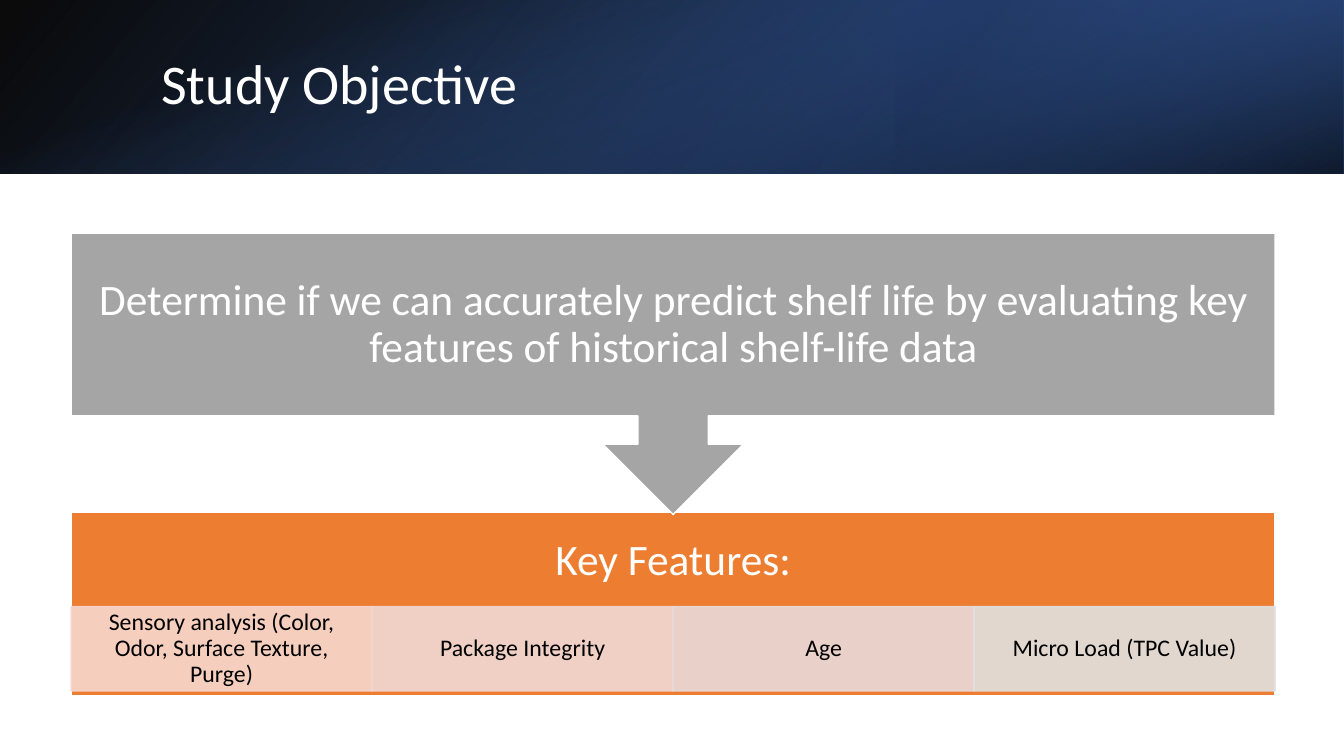
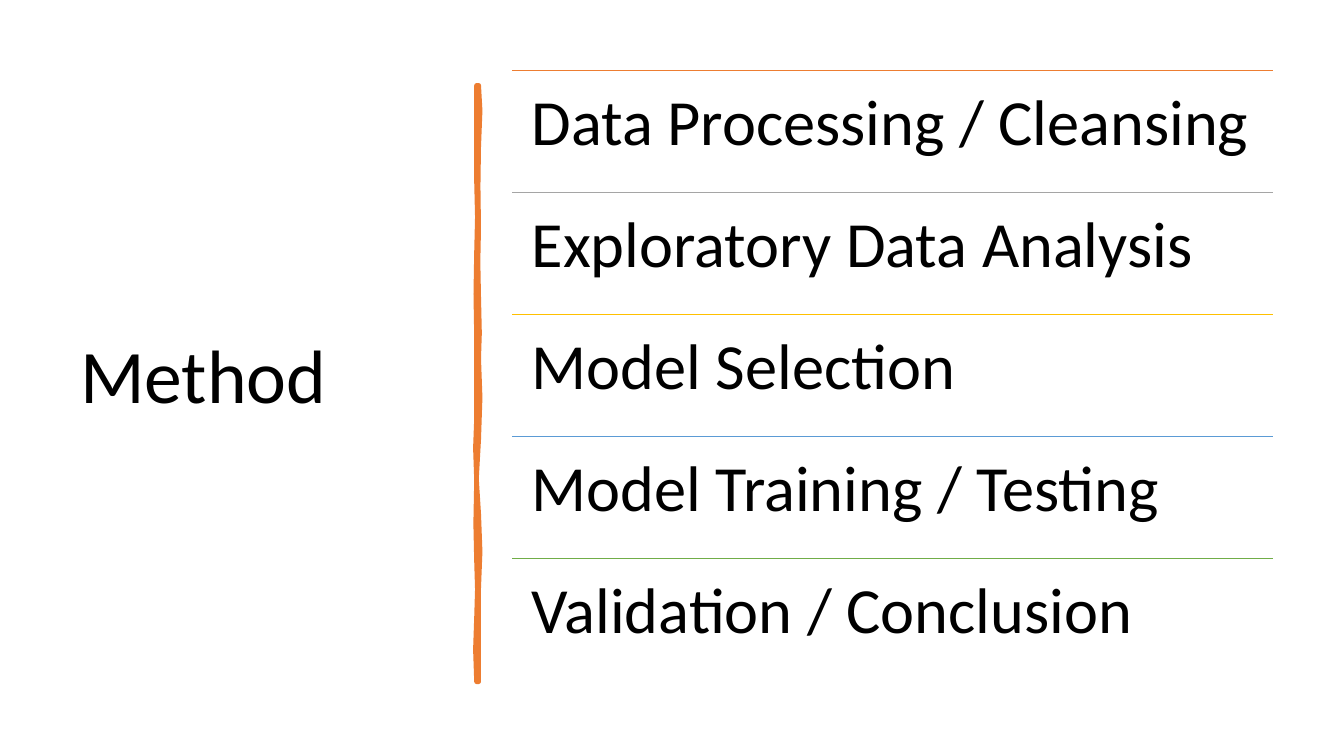
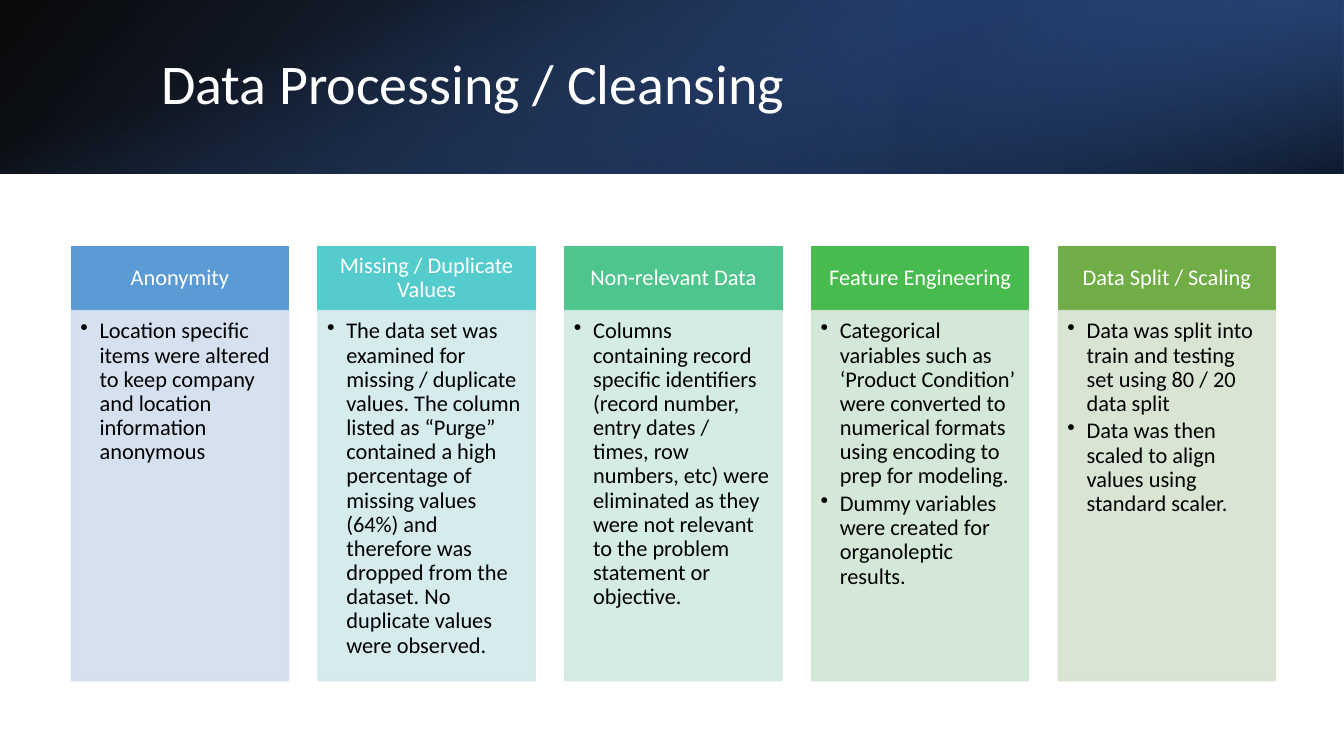
import pptx
import pptx.util
import pptx.dml.color
import pptx.enum.shapes
import pptx.enum.text
import pptx.oxml.ns
import pptx.oxml.xmlchemy

Pt = pptx.util.Pt
SHAPE = pptx.enum.shapes.MSO_SHAPE
ALIGN = pptx.enum.text.PP_ALIGN
ANCHOR = pptx.enum.text.MSO_ANCHOR
qualify = pptx.oxml.ns.qn
make_element = pptx.oxml.xmlchemy.OxmlElement

FONT = "Calibri"
COLOURS = {
    "white": "FFFFFF", "black": "000000", "navy": "203864", "blue": "2F5597", "bright": "4472C4",
    "orange": "ED7D31", "grey": "A5A5A5", "gold": "FFC000", "sky": "5B9BD5", "green": "70AD47",
    "turquoise": "54CCCD", "mint": "4DC58D", "leaf": "48BB4F",
    "peach": "F8D7CE", "rose": "F1D8D4", "blush": "E9DBDA", "silver": "E1E1E1",
    "pale_sky": "D2DEEF", "pale_turquoise": "D1E9ED", "pale_mint": "D0EAE1",
    "pale_leaf": "D0E6D4", "pale_green": "D5E3CF",
}
BAND_HEIGHT = 124
BAND_LAYERS = [
    (0, 960, 40, [(0, "black", 96), (1, "blue", 100)]),
    (640, 320, 40, [(0.19, "navy", 68), (1, "bright", 79)]),
    (0, 960, 70, [(0.23, "bright", 0), (0.99, "black", 74)]),
]
FEATURES = [
    ("Sensory analysis (Color, Odor, Surface Texture, Purge)", "peach"),
    ("Package Integrity", "rose"),
    ("Age", "blush"),
    ("Micro Load (TPC Value)", "silver"),
]
STEPS = [
    ("Data Processing / Cleansing", "orange"),
    ("Exploratory Data Analysis", "grey"),
    ("Model Selection", "gold"),
    ("Model Training / Testing", "sky"),
    ("Validation / Conclusion", "green"),
]
TOPICS = [
    ("Anonymity", "sky", [
        "Location specific items were altered to keep company and location information anonymous"]),
    ("Missing / Duplicate Values", "turquoise", [
        "The data set was examined for missing / duplicate values. The column listed as “Purge” "
        "contained a high percentage of missing values (64%) and therefore was dropped from the "
        "dataset. No duplicate values were observed."]),
    ("Non-relevant Data", "mint", [
        "Columns containing record specific identifiers (record number, entry dates / times, row "
        "numbers, etc) were eliminated as they were not relevant to the problem statement or "
        "objective."]),
    ("Feature Engineering", "leaf", [
        "Categorical variables such as ‘Product Condition’ were converted to numerical formats "
        "using encoding to prep for modeling.",
        "Dummy variables were created for organoleptic results."]),
    ("Data Split / Scaling", "green", [
        "Data was split into train and testing set using 80 / 20 data split",
        "Data was then scaled to align values using standard scaler."]),
]
RULE_RIGHT = [(61, 0), (79, 1), (105, 0), (133, -0.4), (163, 0), (187, -0.5), (212, 0), (238, 0.6),
              (256, 0), (284, 1), (314, 0), (342, -1.6), (367, 0), (394, 1), (420, 0), (487, 0)]
RULE_LEFT = [(487, 0), (464, -0.8), (441, 0), (421, 0.6), (401, 0), (374, -0.6), (343, 0),
             (320, -0.8), (299, 0), (241, 0), (210, -0.5), (180, 0), (155, 0.6), (130, 0), (61, 0)]


def colour(name):
    return pptx.dml.color.RGBColor.from_string(COLOURS[name])


def set_values(target, values):
    for name, value in values.items():
        setattr(target, name, value)


def set_alpha(colour_element, percent):
    alpha = make_element("a:alpha")
    alpha.set("val", str(percent * 1000))
    colour_element.append(alpha)


def add_bullet(para, indent):
    properties = para._p.get_or_add_pPr()
    properties.set("marL", str(Pt(indent)))
    properties.set("indent", str(Pt(-indent)))
    bullet = make_element("a:buChar")
    bullet.set("char", "•")
    properties.append(bullet)


def write(box, lines, size, tint, align=ALIGN.CENTER, anchor=ANCHOR.MIDDLE,
          insets=(7.2, 3.6, 7.2, 3.6), bullet=0):
    frame = box.text_frame
    sides = ("margin_left", "margin_top", "margin_right", "margin_bottom")
    set_values(frame, {"word_wrap": True, "vertical_anchor": anchor,
                       "auto_size": pptx.enum.text.MSO_AUTO_SIZE.NONE})
    set_values(frame, {side: Pt(inset) for side, inset in zip(sides, insets)})
    for index, line in enumerate(lines):
        para = frame.add_paragraph() if index else frame.paragraphs[0]
        set_values(para, {"alignment": align, "line_spacing": 0.9,
                          "space_before": Pt(0), "space_after": Pt(2.4 if bullet else 0)})
        if bullet:
            add_bullet(para, bullet)
        span = para.add_run()
        span.text = line
        set_values(span.font, {"name": FONT, "size": Pt(size)})
        span.font.color.rgb = colour(tint)


def add_block(page, kind, place, fill, line, alpha=100):
    block = page.shapes.add_shape(kind, *map(Pt, place))
    block.shadow.inherit = False
    block.fill.solid()
    block.fill.fore_color.rgb = colour(fill)
    block.line.color.rgb = colour(line)
    block.line.width = Pt(1)
    if alpha < 100:
        for element in block._element.spPr.iter(qualify("a:srgbClr")):
            set_alpha(element, alpha)
    return block


def add_layer(page, left, width, angle, stops):
    layer = page.shapes.add_shape(SHAPE.RECTANGLE, Pt(left), 0, Pt(width), Pt(BAND_HEIGHT))
    layer.shadow.inherit = False
    layer.line.fill.background()
    layer.fill.gradient()
    layer.fill.gradient_angle = 360 - angle
    for stop, (position, tint, alpha) in zip(layer.fill.gradient_stops, stops):
        stop.position = position
        stop.color.rgb = colour(tint)
    for element, stop in zip(layer._element.spPr.iter(qualify("a:srgbClr")), stops):
        set_alpha(element, stop[2])


def add_rule(page, left, top, right, tint):
    rule = page.shapes.add_connector(pptx.enum.shapes.MSO_CONNECTOR.STRAIGHT,
                                     Pt(left), Pt(top), Pt(right), Pt(top))
    rule.line.color.rgb = colour(tint)
    rule.line.width = Pt(1)
    rule._element.spPr.append(make_element("a:effectLst"))


def add_sketched_rule(page, left, right):
    points = [(Pt(right + shift), Pt(top)) for top, shift in RULE_RIGHT]
    points += [(Pt(left + shift), Pt(top)) for top, shift in RULE_LEFT]
    builder = page.shapes.build_freeform(*points[0])
    builder.add_line_segments(points[1:], close=True)
    rule = builder.convert_to_shape()
    rule.shadow.inherit = False
    rule.fill.solid()
    rule.fill.fore_color.rgb = colour("orange")
    rule.line.color.rgb = colour("orange")
    rule.line.width = Pt(3.25)
    rule._element.spPr.find(qualify("a:ln")).append(make_element("a:round"))


def add_page(deck, title, place, size, tint):
    page = deck.slides.add_slide(deck.slide_layouts[5])
    box = page.shapes.title
    set_values(box, dict(zip(("left", "top", "width", "height"), map(Pt, place))))
    write(box, [title], size, tint, align=ALIGN.LEFT)
    return page


def add_band_page(deck, title):
    page = add_page(deck, title, (108, 27.5, 790, 69), 40, "white")
    for layer in BAND_LAYERS:
        add_layer(page, *layer)
    page.shapes._spTree.append(page.shapes.title._element)
    return page


def build_objective(deck):
    page = add_band_page(deck, "Study Objective")
    left, width = 50.8, 860
    features = add_block(page, SHAPE.RECTANGLE, (left, 366, width, 131), "orange", "white")
    write(features, ["Key Features:"], 31, "white", insets=(17, 17, 17, 77.5))
    cell = width / len(FEATURES)
    for index, (label, fill) in enumerate(FEATURES):
        box = add_block(page, SHAPE.RECTANGLE, (left + index * cell, 433.3, cell, 60.3),
                        fill, fill, 90)
        write(box, [label], 17, "black", insets=(9.3, 1.6, 9.3, 1.6))
    goal = add_block(page, SHAPE.DOWN_ARROW_CALLOUT, (left, 166.5, width, 201), "grey", "white")
    write(goal, ["Determine if we can accurately predict shelf life by evaluating key features of "
                 "historical shelf-life data"], 31, "white", insets=(17, 17, 17, 17))


def build_method(deck):
    page = add_page(deck, "Method", (50, 50.4, 269, 440), 54, "black")
    add_sketched_rule(page, 340.4, 342)
    left, top, width, step = 366, 50.4, 543.5, 87.1
    for index, (label, tint) in enumerate(STEPS):
        row = top + index * step
        add_rule(page, left, row, left + width, tint)
        box = page.shapes.add_textbox(*map(Pt, (left, row, width, step)))
        write(box, [label], 46, "black", align=ALIGN.LEFT, anchor=ANCHOR.TOP,
              insets=(13.8, 13.8, 13.8, 13.8))


def build_processing(deck):
    page = add_band_page(deck, "Data Processing / Cleansing")
    left, width, step = 51, 155, 176.25
    for index, (heading, fill, notes) in enumerate(TOPICS):
        column = left + index * step
        header = add_block(page, SHAPE.RECTANGLE, (column, 176.2, width, 45.6), fill, fill)
        write(header, [heading], 16, "white", insets=(8.5, 5, 8.5, 5))
        pale = "pale_" + fill
        body = add_block(page, SHAPE.RECTANGLE, (column, 221.8, width, 264.4), pale, pale, 90)
        write(body, notes, 16, "black", align=ALIGN.LEFT, anchor=ANCHOR.TOP,
              insets=(6.5, 6.5, 8.5, 10), bullet=13.7)


def main():
    deck = pptx.Presentation()
    set_values(deck, {"slide_width": Pt(960), "slide_height": Pt(540)})
    build_objective(deck)
    build_method(deck)
    build_processing(deck)
    deck.save("out.pptx")


if __name__ == "__main__":
    main()
